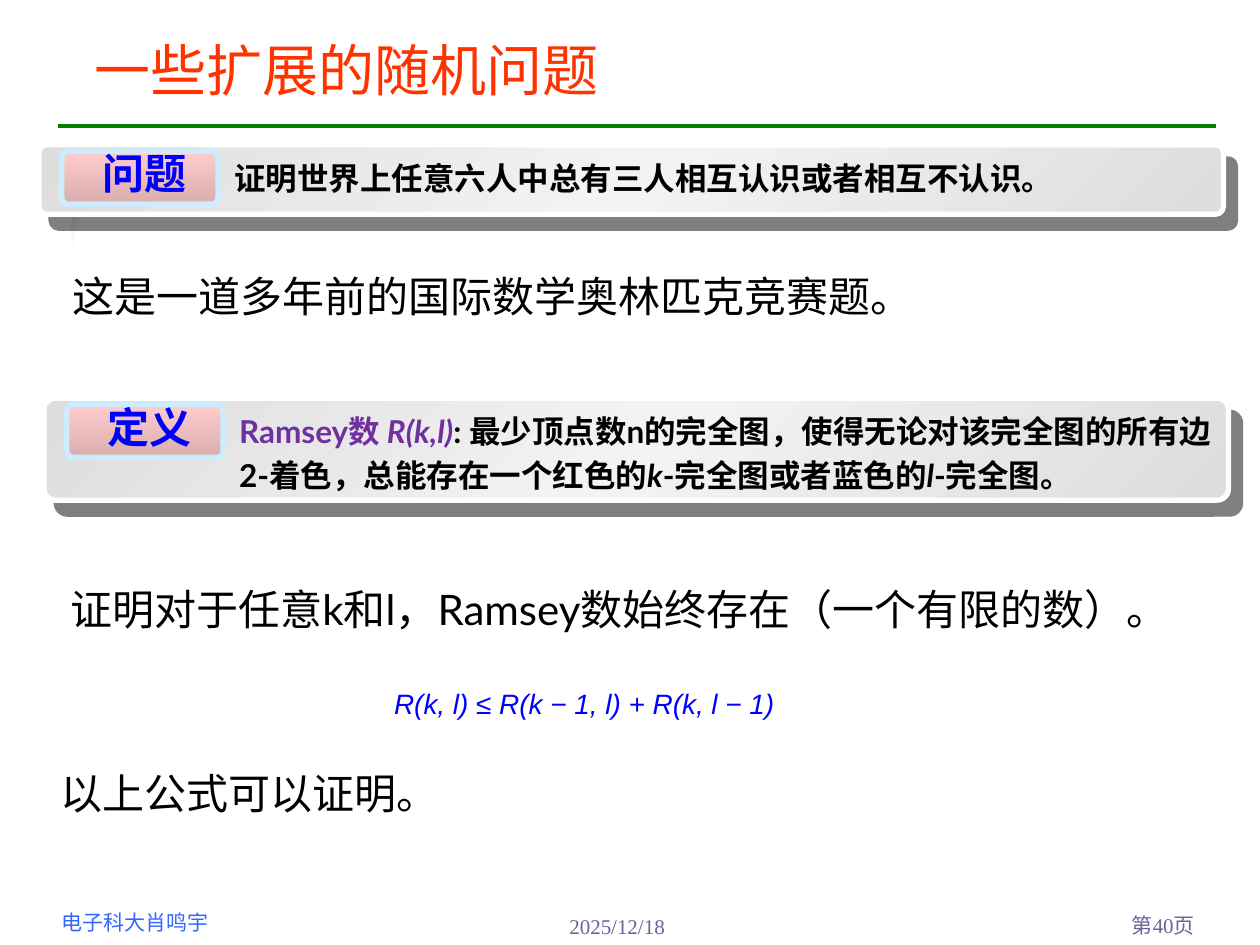
from copy import deepcopy

from lxml.etree import SubElement
from pptx import Presentation
from pptx.dml.color import RGBColor
from pptx.enum.shapes import MSO_CONNECTOR, MSO_SHAPE
from pptx.enum.text import MSO_ANCHOR, PP_ALIGN
from pptx.oxml.ns import qn
from pptx.util import Inches, Pt

CJK = "Noto Sans CJK SC"
THEME = {
    "title": (CJK, 32, "FF3300", False, False),
    "tab": (CJK, 24, "0000FF", True, False),
    "statement": ("Lato", 24, "000000", False, False),
    "card": ("Lato", 18, "000000", True, False),
    "symbol": ("Lato", 18, "000000", True, True),
    "term": ("Lato", 18, "7030A0", True, False),
    "term symbol": ("Lato", 18, "7030A0", True, True),
    "formula": ("Arial", 16, "0000FF", False, True),
    "author": ("Arial", 12, "3366FF", False, False),
    "footer": ("Times New Roman", 12, "666699", False, False),
    "rule": "008000",
    "panel edge": "FFFFFF",
    "tab edge": "CCECFF",
    "shadow": "000000",
    "panel fill": [(0, "DDDDDD"), (0.5, "F3F3F3"), (1, "DDDDDD")],
    "tab fill": [(0, "FFCCCC"), (1, "DAAEAE")],
    "fold fill": [(0, "FFE5E5"), (0.5, "FFCCCC"), (1, "FFE5E5")],
}

deck = Presentation()
deck.slide_width, deck.slide_height = Inches(10), Inches(7.5)
col, row = deck.slide_width / 100, deck.slide_height / 75
slide = deck.slides.add_slide(deck.slide_layouts[5])
shapes = slide.shapes


def style(run, role):
    name, size, color, bold, italic = THEME[role]
    font = run.font
    font.name, font.size, font.bold, font.italic = name, Pt(size), bold, italic
    font.color.rgb = RGBColor.from_string(color)
    SubElement(font._element, qn("a:ea")).set("typeface", CJK)


def write(left, top, width, height, pieces, align=PP_ALIGN.LEFT, wrap=True):
    box = shapes.add_textbox(int(left * col), int(top * row), int(width * col), int(height * row))
    box.text_frame.word_wrap = wrap
    paragraph = box.text_frame.paragraphs[0]
    paragraph.alignment = align
    for words, role in pieces:
        run = paragraph.add_run()
        run.text = words
        style(run, role)
    return paragraph


write(3.9, 71.7, 20.1, 3, [("电子科大肖鸣宇", "author")])
write(44.2, 72, 19.9, 3, [("2025/12/18", "footer")])
write(87, 71.9, 8.8, 3.1, [("第40页", "footer")], PP_ALIGN.RIGHT)

rule = shapes.add_connector(MSO_CONNECTOR.STRAIGHT, int(4.6 * col), int(10 * row), int(96.5 * col), int(10 * row))
rule.line.color.rgb = RGBColor.from_string(THEME["rule"])
rule.line.width = Pt(2.25)
SubElement(rule._element.spPr, qn("a:effectLst"))

title = shapes.title
title.left, title.top = int(6.5 * col), int(2.1 * row)
title.width, title.height = int(88.3 * col), int(6.7 * row)
title.text_frame.text = "一些扩展的随机问题"
title.text_frame.vertical_anchor = MSO_ANCHOR.MIDDLE
title.text_frame.paragraphs[0].alignment = PP_ALIGN.LEFT
style(title.text_frame.paragraphs[0].runs[0], "title")

problem = [("证明世界上任意六人中总有三人相互认识或者相互不认识。", "card")]
definition = [
    ("Ramsey数 ", "term"),
    ("R(k,l)", "term symbol"),
    (": 最少顶点数n的完全图，使得无论对该完全图的所有边2-着色，总能存在一个红色的", "card"),
    ("k", "symbol"),
    ("-完全图或者蓝色的", "card"),
    ("l", "symbol"),
    ("-完全图。", "card"),
]
fold_curves = [
    [(1.2, 0), (0.6, 0), (0, 0.5), (0, 1.2)],
    [(0, 5.8), (0.3, 5.8), (0.1, 3), (1.7, 1.7)],
    [(1.7, 1.7), (3.2, 0.4), (6.2, 0.3), (6.1, 0)],
]
steps = 10

for heading, pieces, left, top, height in [
    ("问题", problem, 3.1, 11.5, 5.5),
    ("定义", definition, 3.5, 31.6, 8.1),
]:
    outline = []
    for curve in fold_curves:
        for step in range(steps + 1):
            t = step / steps
            weights = ((1 - t) ** 3, 3 * t * (1 - t) ** 2, 3 * t * t * (1 - t), t ** 3)
            across = sum(w * x for w, (x, y) in zip(weights, curve))
            down = sum(w * y for w, (x, y) in zip(weights, curve))
            outline.append((int((left + 2.6 + across) * col), int((top + 2.4 + down) * row)))
    builder = shapes.build_freeform(*outline[0])
    builder.add_line_segments(outline[1:], close=True)
    fold = builder.convert_to_shape()

    panel = shapes.add_shape(
        MSO_SHAPE.ROUNDED_RECTANGLE, int(left * col), int(top * row), int(94 * col), int(height * row))
    tab = shapes.add_shape(
        MSO_SHAPE.ROUNDED_RECTANGLE, int((left + 1.8) * col), int((top + 0.5) * row), int(12.4 * col), int(4.2 * row))
    panel.adjustments[0], tab.adjustments[0] = 0.11, 0.12

    for part, fill, angle, edge in [
        (fold, "fold fill", 45, None),
        (panel, "panel fill", 45, "panel edge"),
        (tab, "tab fill", 90, "tab edge"),
    ]:
        part.fill.gradient()
        part.fill.gradient_angle = 360 - angle
        stop_list = part._element.spPr.find(qn("a:gradFill")).find(qn("a:gsLst"))
        while len(stop_list) < len(THEME[fill]):
            stop_list.append(deepcopy(stop_list[0]))
        for stop, (position, color) in zip(part.fill.gradient_stops, THEME[fill]):
            stop.position = position
            stop.color.rgb = RGBColor.from_string(color)
        if edge:
            part.line.color.rgb = RGBColor.from_string(THEME[edge])
            part.line.width = Pt(3)
        else:
            part.line.fill.background()
            SubElement(stop_list[1][0], qn("a:alpha")).set("val", "0")
        part.shadow.inherit = False

    cast = SubElement(
        panel._element.spPr.find(qn("a:effectLst")), qn("a:outerShdw"),
        dist=str(Pt(10.6)), dir=str(49 * 60000), algn="ctr", rotWithShape="0")
    shade = SubElement(cast, qn("a:srgbClr"), val=THEME["shadow"])
    SubElement(shade, qn("a:alpha"), val="50000")

    write(left + 3, top - 0.25, 10.7, 5, [(heading, "tab")], PP_ALIGN.CENTER)
    write(left + 14.5, top + 0.2, 80, height - 0.5, pieces).line_spacing = 1.15

for words, left, top in [
    ("这是一道多年前的国际数学奥林匹克竞赛题。", 2.2, 20.5),
    ("证明对于任意k和l，Ramsey数始终存在（一个有限的数）。", 2, 45.4),
    ("以上公式可以证明。", 1.2, 60),
]:
    statement = write(left, top, 97, 5.1, [(words, "statement")])
    statement.line_spacing = Pt(32)
    statement._p.get_or_add_pPr().set("indent", str(int(2.6 * col)))

write(30.3, 54, 34.3, 3.7, [("R(k, l) ≤ R(k − 1, l) + R(k, l − 1)", "formula")], wrap=False)

deck.save("out.pptx")
